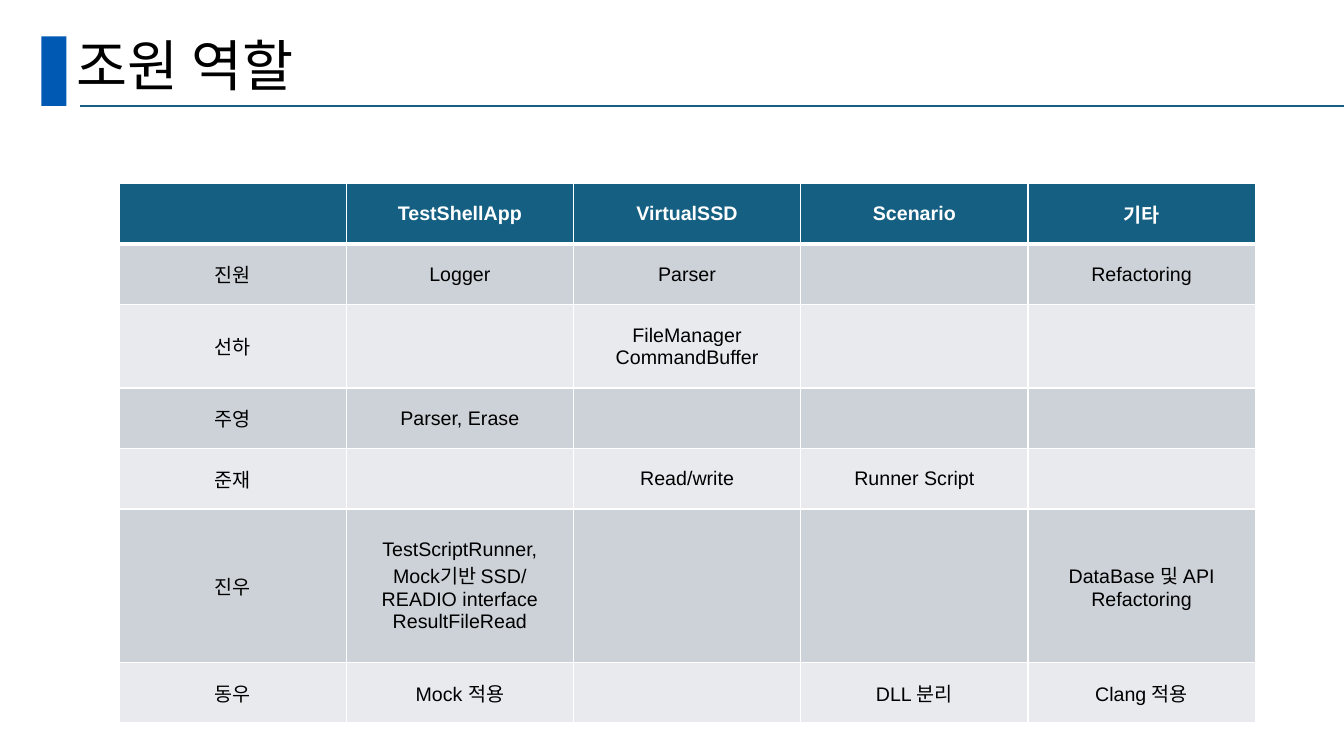
from lxml.etree import SubElement
from pptx import Presentation
from pptx.dml.color import RGBColor
from pptx.enum.shapes import MSO_CONNECTOR, MSO_SHAPE
from pptx.enum.text import MSO_ANCHOR, MSO_AUTO_SIZE, PP_ALIGN
from pptx.oxml.ns import qn
from pptx.util import Inches, Pt

SLIDE_WIDTH, SLIDE_HEIGHT = 13.33, 7.5
KOREAN_FONT = "Noto Sans CJK KR"
TEAL, BLUE, WHITE, BLACK = "156082", "005AB4", "FFFFFF", "000000"
BANDS = ("CCD2D8", "E8EAED")

ROW_HEIGHTS = (0.6, 0.6, 0.83, 0.6, 0.6, 1.52, 0.6)
ROLES = (
    ("", "TestShellApp", "VirtualSSD", "Scenario", "기타"),
    ("진원", "Logger", "Parser", "", "Refactoring"),
    ("선하", "", "FileManager\vCommandBuffer", "", ""),
    ("주영", "Parser, Erase", "", "", ""),
    ("준재", "", "Read/write", "Runner Script", ""),
    ("진우", "TestScriptRunner, Mock기반 SSD/ READIO interface\nResultFileRead",
     "", "", "DataBase 및 API\nRefactoring"),
    ("동우", "Mock 적용", "", "DLL 분리", "Clang 적용"),
)


def color(value):
    return RGBColor.from_string(value)


def write_text(text_frame, text, size, font="Arial", fill=BLACK, bold=False,
               align=PP_ALIGN.LEFT, line_spacing=1.0):
    for index, line in enumerate(text.split("\n")):
        paragraph = text_frame.add_paragraph() if index else text_frame.paragraphs[0]
        paragraph.text = line
        paragraph.alignment = align
        paragraph.line_spacing = line_spacing
        for run in paragraph.runs:
            run.font.name = font
            run.font.size = Pt(size)
            run.font.bold = bold
            run.font.color.rgb = color(fill)
            SubElement(run.font._element, qn("a:ea"), typeface=KOREAN_FONT)


def set_borders(cell, bottom_width):
    properties = cell._tc.get_or_add_tcPr()
    for side, width in (("L", 1), ("R", 1), ("T", 1), ("B", bottom_width)):
        border = SubElement(properties, qn(f"a:ln{side}"), w=str(Pt(width)))
        SubElement(SubElement(border, qn("a:solidFill")), qn("a:srgbClr"), val=WHITE)


def add_heading(slide, left, top, text):
    height = 0.69
    marker = slide.shapes.add_shape(
        MSO_SHAPE.RECTANGLE, Inches(left), Inches(top), Inches(0.25), Inches(height))
    marker.shadow.inherit = False
    marker.fill.solid()
    marker.fill.fore_color.rgb = color(BLUE)
    marker.line.fill.background()

    rule_top = Inches(top + height)
    rule = slide.shapes.add_connector(
        MSO_CONNECTOR.STRAIGHT, Inches(left + 0.38), rule_top,
        Inches(SLIDE_WIDTH), rule_top)
    rule.line.color.rgb = color(TEAL)
    rule.line.width = Pt(1.5)
    SubElement(rule._element.spPr, qn("a:effectLst"))

    title = slide.shapes.title
    title.left, title.top = Inches(left + 0.25), Inches(top - 0.03)
    title.width, title.height = Inches(11.5), Inches(0.71)
    frame = title.text_frame
    frame.auto_size = MSO_AUTO_SIZE.NONE
    frame.word_wrap = True
    frame.vertical_anchor = MSO_ANCHOR.MIDDLE
    write_text(frame, text, 39.6, font=KOREAN_FONT, line_spacing=0.9)


def add_role_table(slide, left, top, width):
    table = slide.shapes.add_table(
        len(ROLES), len(ROLES[0]), Inches(left), Inches(top),
        Inches(width), Inches(sum(ROW_HEIGHTS))).table
    for row, height in zip(table.rows, ROW_HEIGHTS):
        row.height = Inches(height)
    for row_index, texts in enumerate(ROLES):
        is_header = row_index == 0
        for column_index, text in enumerate(texts):
            cell = table.cell(row_index, column_index)
            set_borders(cell, 3 if is_header else 1)
            cell.fill.solid()
            cell.fill.fore_color.rgb = color(
                TEAL if is_header else BANDS[(row_index - 1) % 2])
            cell.vertical_anchor = MSO_ANCHOR.MIDDLE
            write_text(cell.text_frame, text, 14, bold=is_header,
                       fill=WHITE if is_header else BLACK, align=PP_ALIGN.CENTER)


def main():
    presentation = Presentation()
    presentation.slide_width = Inches(SLIDE_WIDTH)
    presentation.slide_height = Inches(SLIDE_HEIGHT)
    slide = presentation.slides.add_slide(presentation.slide_layouts[5])
    add_heading(slide, 0.41, 0.36, "조원 역할")
    add_role_table(slide, 1.18, 1.82, 11.27)
    presentation.save("out.pptx")


if __name__ == "__main__":
    main()
